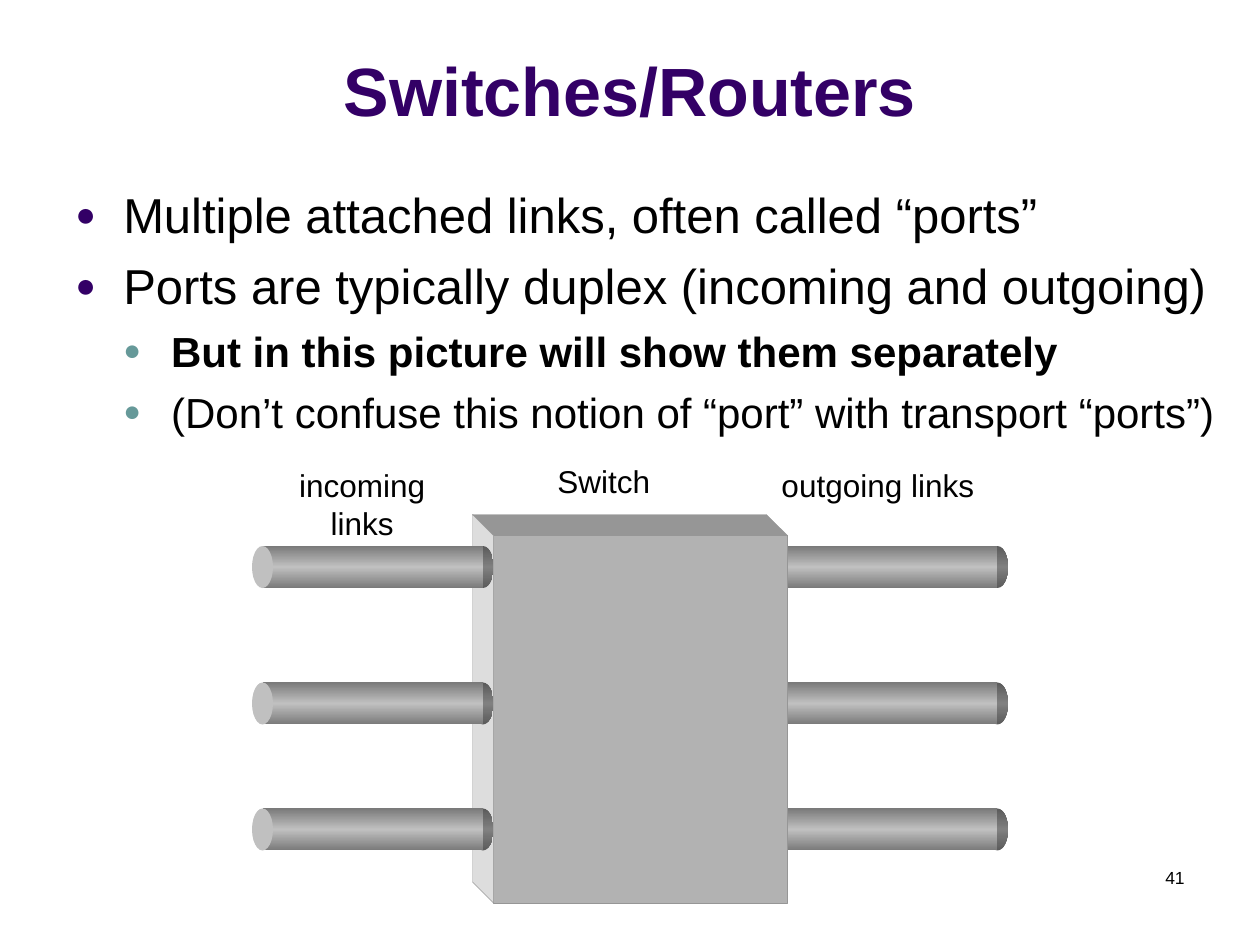
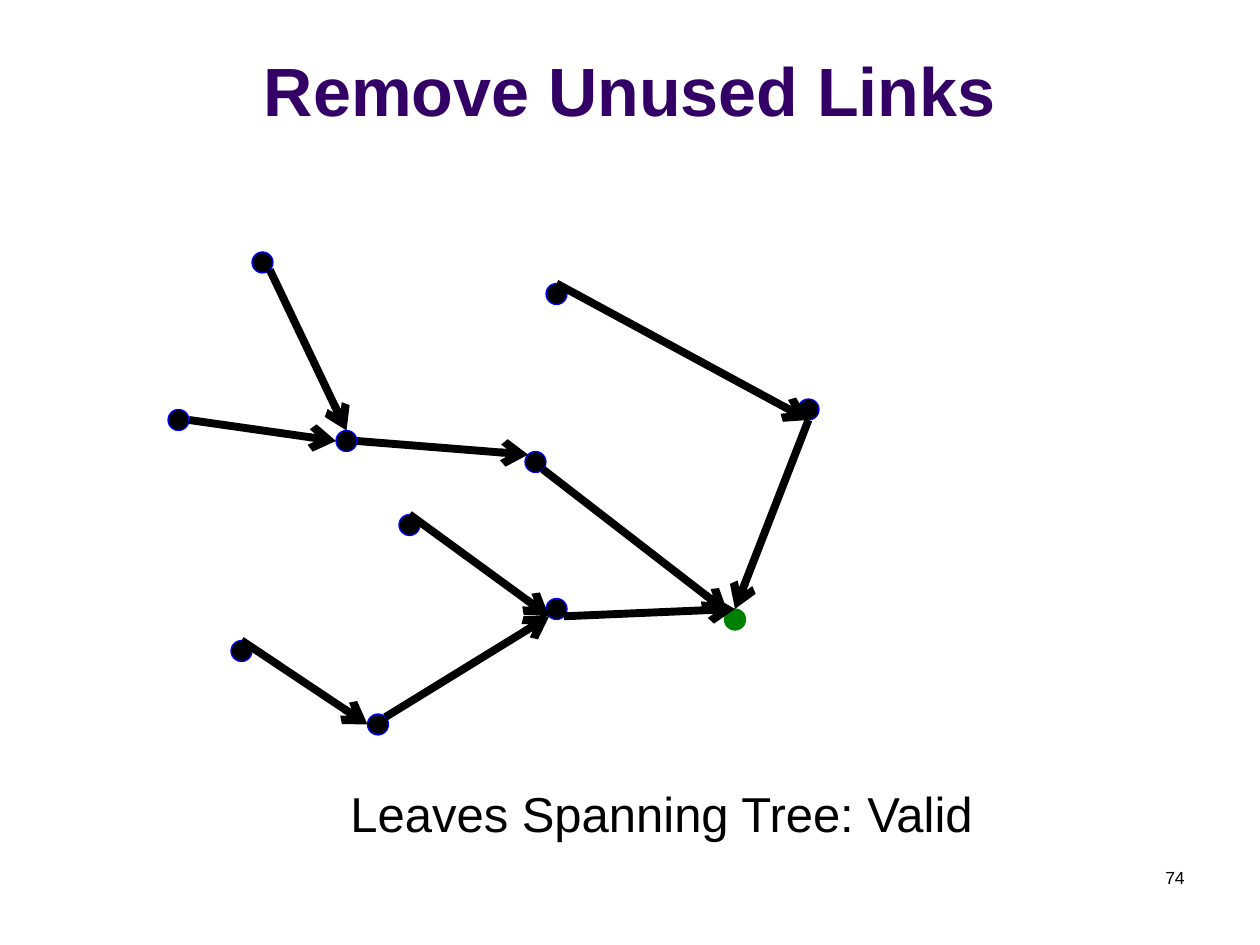
from copy import deepcopy
from lxml import etree
from pptx import Presentation
from pptx import util as u
from pptx.dml.color import RGBColor
from pptx.enum import shapes, text
from pptx.oxml import ns

CELL = 76200  # grid: twelve cells to the inch, 120 columns by 90 rows
FONT = "Arial"
INK, TITLE, SUB, BLUE, GREEN = "000000", "330066", "669999", "0000FF", "008000"
TUBE, DARK, LIGHT = ["7A7A7A", "C0C0C0"], ["5B5B5B", "808080"], "C0C0C0"
OVAL, RECT = shapes.MSO_SHAPE.OVAL, shapes.MSO_SHAPE.RECTANGLE
MID, RIGHT = text.PP_ALIGN.CENTER, text.PP_ALIGN.RIGHT
TOP, LOW = text.MSO_ANCHOR.TOP, text.MSO_ANCHOR.BOTTOM


def paint(shape, fill, line=None):
    """Fill with one colour, or with an [edge, middle] gradient, and set the outline."""
    shape.shadow.inherit = False
    if isinstance(fill, str):
        shape.fill.solid()
        shape.fill.fore_color.rgb = RGBColor.from_string(fill)
    else:
        shape.fill.gradient()
        shape.fill.gradient_angle = 90
        stops = shape._element.spPr.find(".//" + ns.qn("a:gsLst"))
        stops.append(deepcopy(stops[0]))
        edge, core = fill
        for stop, hue, pos in zip(shape.fill.gradient_stops, (edge, core, edge), (0, 0.5, 1)):
            stop.color.rgb = RGBColor.from_string(hue)
            stop.position = pos
    if line:
        shape.line.color.rgb = RGBColor.from_string(line)
        shape.line.width = u.Pt(0.75)
    else:
        shape.line.fill.background()


def write(page, box, words, size, hue=INK, bold=False, align=MID, anchor=TOP, inset=True):
    """Add a wrapped text box in grid cells and return its paragraph."""
    frame = page.shapes.add_textbox(*[int(v * CELL) for v in box]).text_frame
    form = {"word_wrap": True, "vertical_anchor": anchor}
    if not inset:
        form.update(dict.fromkeys(("margin_left", "margin_right", "margin_top", "margin_bottom"), 0))
    for key, val in form.items():
        setattr(frame, key, val)
    para = frame.paragraphs[0]
    para.alignment = align
    run = para.add_run()
    run.text = words
    for key, val in {"name": FONT, "size": u.Pt(size), "bold": bold}.items():
        setattr(run.font, key, val)
    run.font.color.rgb = RGBColor.from_string(hue)
    return para


deck = Presentation()
deck.slide_width, deck.slide_height = 120 * CELL, 90 * CELL

# Shared title and page number
pages = []
for title, num in (("Switches/Routers", "41"), ("Remove Unused Links", "74")):
    page = deck.slides.add_slide(deck.slide_layouts[6])
    write(page, (0, 1.5, 120, 11.5), title, 39, TITLE, True, anchor=LOW)
    write(page, (86, 82, 28, 6), num, 10, align=RIGHT)
    pages.append(page)
switch, tree = pages

# Bullets: level, words, bold
items = [
    (0, "Multiple attached links, often called “ports”", False),
    (0, "Ports are typically duplex (incoming and outgoing)", False),
    (1, "But in this picture will show them separately", True),
    (1, "(Don’t confuse this notion of “port” with transport “ports”)", False),
]
body = None
for level, words, bold in items:
    size, hue = ((28, TITLE), (24, SUB))[level]
    if body is None:
        para = write(switch, (6, 17, 112, 63.5), words, size, align=text.PP_ALIGN.LEFT)
        body = switch.shapes[-1].text_frame
    else:
        para = body.add_paragraph()
        run = para.add_run()
        run.text = words
        for key, val in {"name": FONT, "size": u.Pt(size), "bold": bold}.items():
            setattr(run.font, key, val)
        run.font.color.rgb = RGBColor.from_string(INK)
    para.space_before = u.Pt(size / 4)
    props = para._p.get_or_add_pPr()
    hang = u.Inches(0.38)
    props.set("marL", str(hang * (level + 1)))
    props.set("indent", str(-hang))
    mark = etree.SubElement(props, ns.qn("a:buClr"))
    etree.SubElement(mark, ns.qn("a:srgbClr"), val=hue)
    etree.SubElement(props, ns.qn("a:buSzPct"), val="70000")
    etree.SubElement(props, ns.qn("a:buFont"), typeface=FONT)
    etree.SubElement(props, ns.qn("a:buChar"), char="●")

# Switch box: three faces; outgoing pipes go behind it, incoming ones in front
faces = [
    ("B2B2B2", [(47, 51), (75, 51), (75, 86), (47, 86)]),
    ("969696", [(45, 49), (73, 49), (75, 51), (47, 51)]),
    ("DDDDDD", [(45, 49), (47, 51), (47, 86), (45, 84)]),
]
for left in (73, 24):
    for row in (52, 65, 77):
        for kind, col, wide, fill in ((OVAL, 21, 2, DARK), (RECT, 1, 21, TUBE), (OVAL, 0, 2, LIGHT)):
            box = (left + col, row, wide, 4)
            paint(switch.shapes.add_shape(kind, *[v * CELL for v in box]), fill)
    if left == 73:
        for fill, dots in faces:
            pen = switch.shapes.build_freeform(*dots[0], scale=CELL)
            pen.add_line_segments(dots[1:], close=True)
            face = pen.convert_to_shape()
            paint(face, fill, "969696")
            face.line.width = u.Pt(0.25)

for words, col, row, wide in (
    ("incoming links", 25.5, 44.4, 18),
    ("outgoing links", 73.6, 44.4, 20),
    ("Switch", 52, 44, 11),
):
    write(switch, (col, row, wide, 3.6), words, 18, inset=False)

# Spanning tree: nodes are two cells wide, links join named sides of them
nodes = {
    "a": (24, 24), "b": (16, 39), "c": (52, 27), "d": (52, 57), "e": (35, 68), "f": (32, 41),
    "g": (76, 38), "h": (38, 49), "i": (22, 61), "j": (50, 43), "root": (69, 58),
}
sides = {
    "n": (1, 0), "s": (1, 2), "w": (0, 1), "e": (2, 1),
    "nw": (0.3, 0.3), "ne": (1.7, 0.3), "sw": (0.3, 1.7), "se": (1.7, 1.7),
}
links = [
    ("a", "se", "f", "n"), ("j", "se", "root", "nw"), ("c", "n", "g", "s"), ("g", "s", "root", "n"),
    ("i", "n", "e", "w"), ("h", "n", "d", "sw"), ("d", "se", "root", "n"), ("f", "e", "j", "nw"),
    ("b", "e", "f", "w"), ("e", "ne", "d", "sw"),
]
for name, (col, row) in nodes.items():
    dot = tree.shapes.add_shape(OVAL, col * CELL, row * CELL, 2 * CELL, 2 * CELL)
    paint(dot, *((GREEN, GREEN) if name == "root" else (INK, BLUE)))
for start, out, end, into in links:
    ends = [
        int((at + off) * CELL)
        for node, side in ((start, out), (end, into))
        for at, off in zip(nodes[node], sides[side])
    ]
    link = tree.shapes.add_connector(shapes.MSO_CONNECTOR.STRAIGHT, *ends)
    link.line.width = u.Pt(4.5)
    link.line.color.rgb = RGBColor.from_string(INK)
    etree.SubElement(link.line._get_or_add_ln(), ns.qn("a:tailEnd"), type="arrow")
    etree.SubElement(link._element.spPr, ns.qn("a:effectLst"))

write(tree, (24, 74, 78, 6.8), "Leaves Spanning Tree: Valid", 28)

deck.save("out.pptx")
